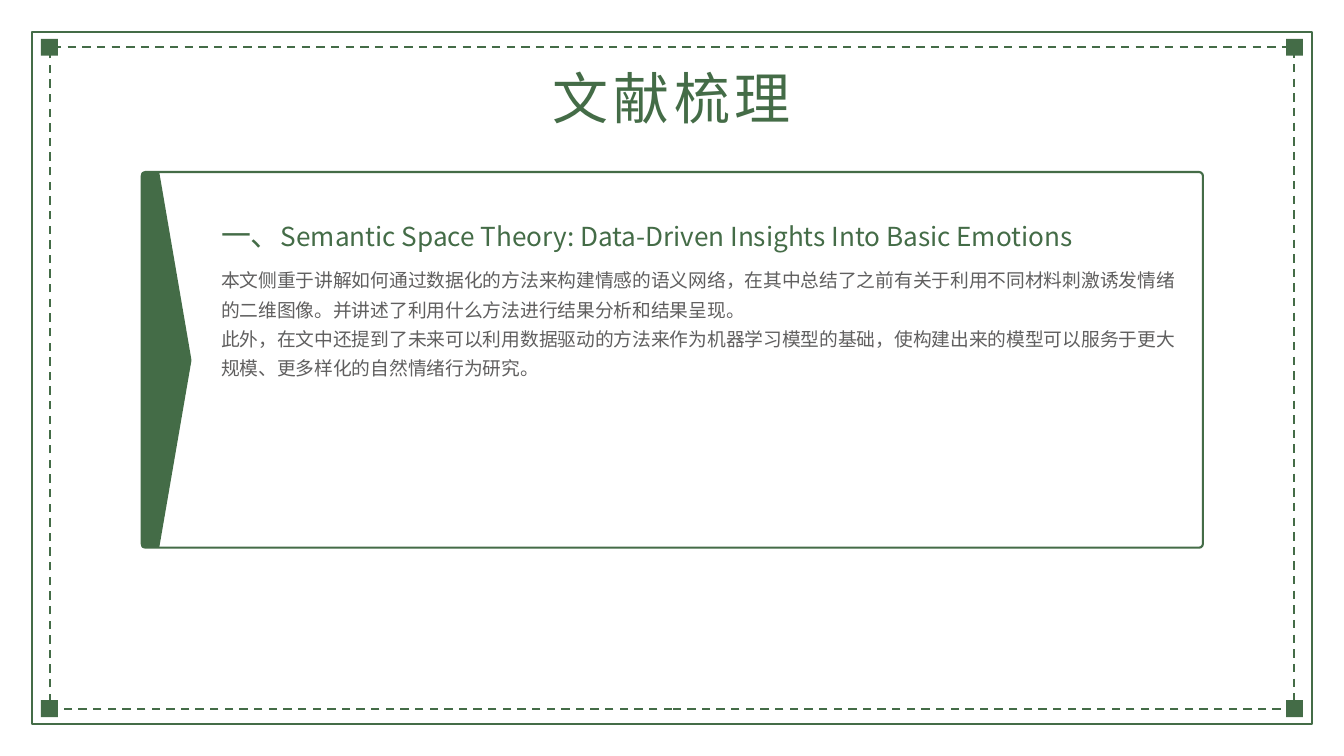
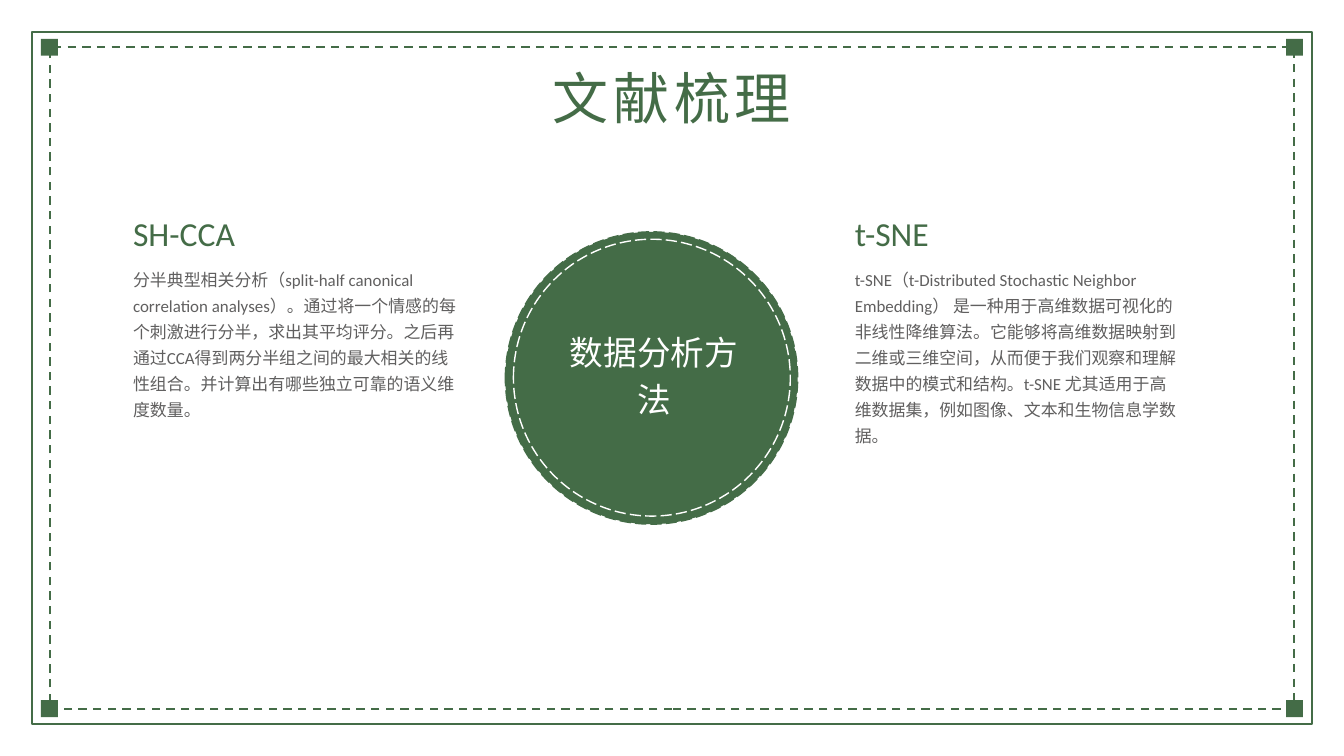
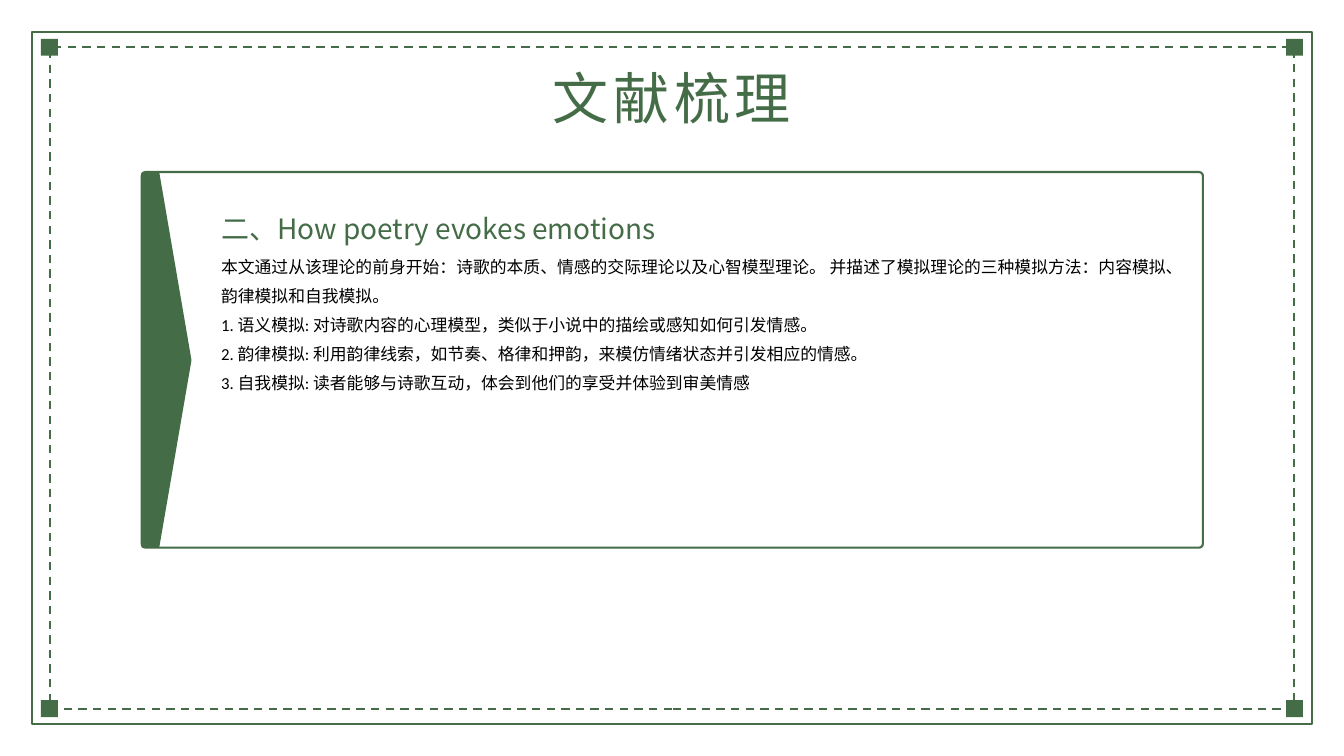
"""Build three literature review slides in a green dashed frame."""
from itertools import product

from lxml.etree import SubElement
from pptx import Presentation
from pptx.dml.color import RGBColor
from pptx.enum.dml import MSO_LINE
from pptx.enum.shapes import MSO_SHAPE
from pptx.enum.text import MSO_AUTO_SIZE, PP_ALIGN
from pptx.oxml.ns import qn
from pptx.util import Pt

PX = 9144
W, H = 2000, 1125
COLORS = {"green": "446C47", "white": "FFFFFF", "gray": "605F5F", "black": "000000"}
LATIN, CJK = "Calibri", "Noto Sans CJK JP"
TITLE = "文献梳理"

PAPER_1 = {
    "heading": [("一、", 32), ("Semantic Space Theory: Data-Driven Insights Into Basic Emotions", 28)],
    "heading_box": (329, 305, 1601, 71), "heading_spacing": 50.4,
    "body": [
        "本文侧重于讲解如何通过数据化的方法来构建情感的语义网络，在其中总结了之前有关于利用不同材料刺激诱发情绪的二维图像。并讲述了利用什么方法进行结果分析和结果呈现。",
        "此外，在文中还提到了未来可以利用数据驱动的方法来作为机器学习模型的基础，使构建出来的模型可以服务于更大规模、更多样化的自然情绪行为研究。",
    ],
    "body_box": (329, 391, 1422, 174), "body_size": 20.1, "body_color": "gray",
}
PAPER_2 = {
    "heading": [("二、How poetry evokes emotions", 30)],
    "heading_box": (329, 306, 1386, 59), "heading_spacing": 42,
    "body": [
        "本文通过从该理论的前身开始：诗歌的本质、情感的交际理论以及心智模型理论。 并描述了模拟理论的三种模拟方法：内容模拟、韵律模拟和自我模拟。",
        "1. 语义模拟: 对诗歌内容的心理模型，类似于小说中的描绘或感知如何引发情感。",
        "2. 韵律模拟: 利用韵律线索，如节奏、格律和押韵，来模仿情绪状态并引发相应的情感。",
        "3. 自我模拟: 读者能够与诗歌互动，体会到他们的享受并体验到审美情感",
    ],
    "body_box": (329, 369, 1422, 218), "body_size": 18, "body_color": "black",
}
METHODS_LABEL = "数据分析方法"
METHODS = [
    (198, "SH-CCA", "分半典型相关分析（split-half canonical correlation analyses）。通过将一个情感的每个刺激进行分半，求出其平均评分。之后再通过CCA得到两分半组之间的最大相关的线性组合。并计算出有哪些独立可靠的语义维度数量。"),
    (1272, "t-SNE", "t-SNE（t-Distributed Stochastic Neighbor Embedding） 是一种用于高维数据可视化的非线性降维算法。它能够将高维数据映射到二维或三维空间，从而便于我们观察和理解数据中的模式和结构。t-SNE 尤其适用于高维数据集，例如图像、文本和生物信息学数据。"),
]


def rgb(color):
    return RGBColor.from_string(COLORS[color])


def style(sp, fill=None, line=None, width=2.25, dash=None):
    sp.shadow.inherit = False
    if fill:
        sp.fill.solid()
        sp.fill.fore_color.rgb = rgb(fill)
    else:
        sp.fill.background()
    if line:
        sp.line.color.rgb = rgb(line)
        sp.line.width = Pt(width)
        if dash:
            sp.line.dash_style = dash
    else:
        sp.line.fill.background()


def add_shape(s, kind, box, **look):
    sp = s.shapes.add_shape(kind, *(v * PX for v in box))
    style(sp, **look)
    return sp


def add_text(s, box, paragraphs, spacing, color, font=LATIN, align=None, tracking=None):
    tb = s.shapes.add_textbox(*(v * PX for v in box))
    tf = tb.text_frame
    tf.word_wrap = True
    tf.auto_size = MSO_AUTO_SIZE.SHAPE_TO_FIT_TEXT
    tf.margin_left = tf.margin_top = tf.margin_right = tf.margin_bottom = 0
    for i, runs in enumerate(paragraphs):
        p = tf.add_paragraph() if i else tf.paragraphs[0]
        p.line_spacing = Pt(spacing)
        p.alignment = align
        for text, size in runs:
            r = p.add_run()
            r.text = text
            r.font.size = Pt(size)
            r.font.name = font
            r.font.color.rgb = rgb(color)
            rpr = r.font._element
            SubElement(rpr, qn("a:ea")).set("typeface", CJK)
            if tracking:
                rpr.set("spc", str(tracking * 100))


def add_framed_slide(prs):
    s = prs.slides.add_slide(prs.slide_layouts[6])
    for x, y, dash in [(47, 47, None), (74, 70, MSO_LINE.DASH)]:
        add_shape(s, MSO_SHAPE.RECTANGLE, (x, y, W - 2 * x, H - 2 * y),
                  fill="white", line="green", dash=dash)
    corner = 25
    for y, x in product((58, H - 58 - corner), (61, W - 61 - corner)):
        add_shape(s, MSO_SHAPE.RECTANGLE, (x, y, corner, corner), fill="green")
    add_text(s, (527, 78, 946, 114), [[(TITLE, 60)]], 84, "green",
             align=PP_ALIGN.CENTER, tracking=5)
    return s


def add_paper_slide(prs, paper):
    s = add_framed_slide(prs)
    x, y, w, h = 211, 256, 1579, 559
    card = add_shape(s, MSO_SHAPE.ROUNDED_RECTANGLE, (x, y, w, h), line="green")
    card.adjustments[0] = 0.01
    fb = s.shapes.build_freeform(x, y, scale=PX)
    fb.add_line_segments([(x + 26, y), (x + 74, y + h / 2), (x + 26, y + h), (x, y + h)])
    style(fb.convert_to_shape(), fill="green")
    add_text(s, paper["heading_box"], [paper["heading"]], paper["heading_spacing"],
             "green", font=CJK)
    add_text(s, paper["body_box"], [[(text, paper["body_size"])] for text in paper["body"]],
             31.1, paper["body_color"])


def add_methods_slide(prs):
    s = add_framed_slide(prs)
    cx, cy = 970, H / 2
    for d, fill, line in [(435, "green", "green"), (412, None, "white")]:
        box = (int(cx - d / 2), int(cy - d / 2), d, d)
        add_shape(s, MSO_SHAPE.OVAL, box, fill=fill, line=line, width=1.5,
                  dash=MSO_LINE.LONG_DASH)
    add_text(s, (842, 484, 262, 141), [[(METHODS_LABEL, 36)]], 50.4, "white",
             align=PP_ALIGN.CENTER)
    for x, name, body in METHODS:
        add_text(s, (x, 307, 405, 71), [[(name, 36)]], 50.4, "green")
        add_text(s, (x, 392, 481, 274), [[(body, 18.1)]], 27.9, "gray")


def main():
    prs = Presentation()
    prs.slide_width, prs.slide_height = W * PX, H * PX
    add_paper_slide(prs, PAPER_1)
    add_methods_slide(prs)
    add_paper_slide(prs, PAPER_2)
    prs.save("out.pptx")


if __name__ == "__main__":
    main()
